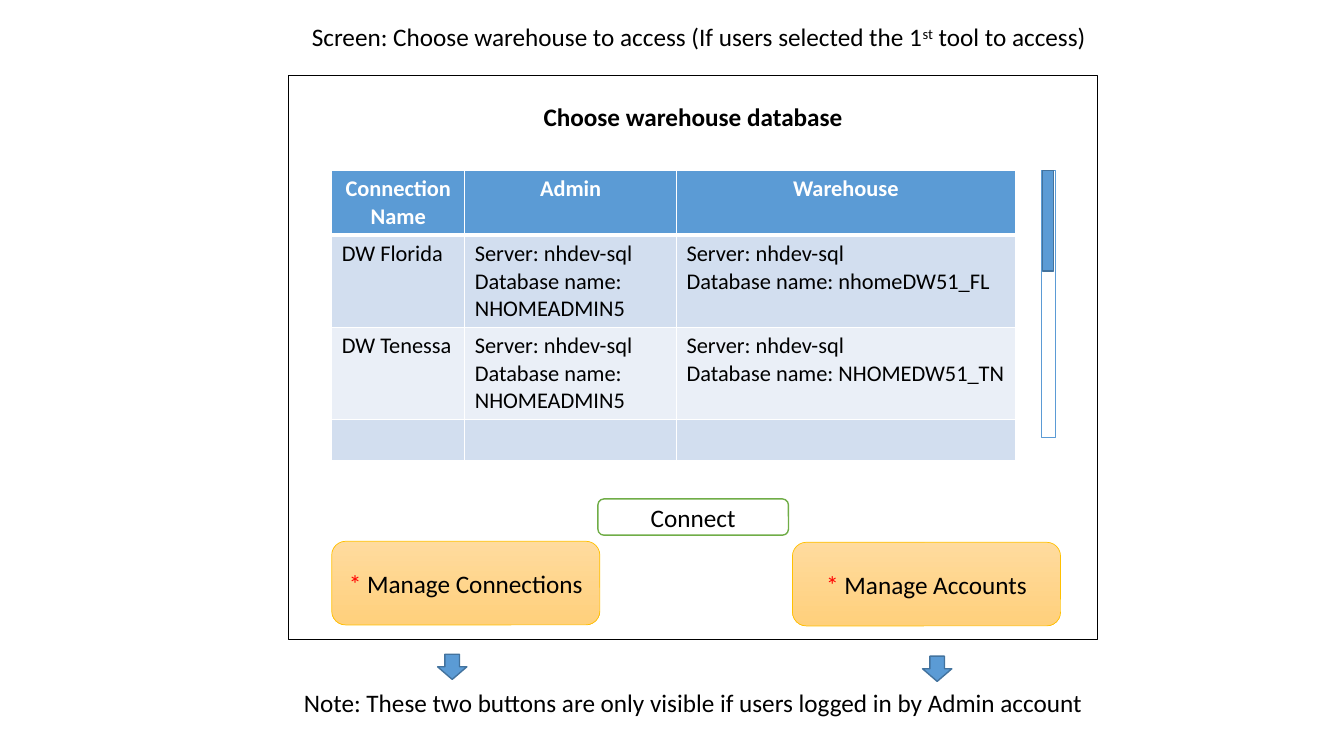
import pptx
import pptx.util
import pptx.dml.color
import pptx.enum.shapes
import pptx.enum.text
import pptx.oxml
import pptx.oxml.ns

# Content: each run is (text, colour name, style)
TITLE = [("Screen: Choose warehouse to access (If users selected the 1", "ink", ""),
         ("st", "ink", "super"), (" tool to access)", "ink", "")]
HEADING = [("Choose warehouse database", "ink", "bold")]
CONNECT = [("Connect", "ink", "")]
NOTE = [("Note: These two buttons are only visible if users logged in by Admin account",
         "ink", "")]
HEADER = ["Connection Name", "Admin", "Warehouse"]
SERVER = "Server: nhdev-sql"
ADMIN = [SERVER, "Database name: NHOMEADMIN5"]
CONNECTIONS = [
    [["DW Florida"], ADMIN, [SERVER, "Database name: nhomeDW51_FL"]],
    [["DW Tenessa"], ADMIN, [SERVER, "Database name: NHOMEDW51_TN"]],
    [[], [], []],
]

THEME = {
    "font": "Calibri", "body": 18, "table": 16,
    "ink": "000000", "paper": "FFFFFF", "required": "FF0000",
    "blue": "5B9BD5", "blue_edge": "43739E", "green": "70AD47",
    "gold_edge": "FFC000", "gold_top": "FFDB9E", "gold_bottom": "FFD07C",
    "bands": ["D2DEEF", "EAEFF7"],
}

# Layout on a grid of one-inch columns and rows
SLIDE_W, SLIDE_H = 13.33, 7.5
PANEL_X, PANEL_Y, PANEL_W, PANEL_H = 2.86, 0.75, 8.03, 5.59
CENTRE = PANEL_X + PANEL_W / 2
TABLE_X, TABLE_Y = 3.29, 1.69
COL_W = [1.32, 2.1, 3.36]
ROW_H = [0.64, 0.9, 0.9, 0.4]
BUTTON_W, BUTTON_H = 2.66, 0.83
ARROW_W, ARROW_H = 0.29, 0.25
# Label, button left and top, arrow left and top
BUTTONS = [("Manage Connections", 3.29, 5.37, 4.34, 6.49),
           ("Manage Accounts", 7.86, 5.38, 9.15, 6.51)]

SHAPE = pptx.enum.shapes.MSO_SHAPE
ALIGN = pptx.enum.text.PP_ALIGN
inch = pptx.util.Inches


def rgb(name):
    return pptx.dml.color.RGBColor.from_string(THEME.get(name, name))


def add_run(p, text, color, size, style=""):
    r = p.add_run()
    r.text = text
    r.font.name = THEME["font"]
    r.font.size = pptx.util.Pt(THEME[size])
    r.font.color.rgb = rgb(color)
    r.font.bold = style == "bold"
    if style == "super":
        r.font._element.set("baseline", "30000")


def add_box(s, kind, x, y, w, h, fill=None, line=None, weight=1, runs=()):
    sp = s.shapes.add_shape(kind, inch(x), inch(y), inch(w), inch(h))
    sp.shadow.inherit = False
    if fill:
        sp.fill.solid()
        sp.fill.fore_color.rgb = rgb(fill)
    else:
        sp.fill.background()
    if line:
        sp.line.color.rgb = rgb(line)
        sp.line.width = pptx.util.Pt(weight)
    else:
        sp.line.fill.background()
    if runs:
        tf = sp.text_frame
        tf.word_wrap = True
        tf.vertical_anchor = pptx.enum.text.MSO_ANCHOR.MIDDLE
        p = tf.paragraphs[0]
        p.alignment = ALIGN.CENTER
        for text, color, style in runs:
            add_run(p, text, color, "body", style)
    return sp


def style_cell(cell, fill, top, bottom):
    cell.fill.solid()
    cell.fill.fore_color.rgb = rgb(fill)
    tc_pr = cell._tc.get_or_add_tcPr()
    edges = [("lnL", 1), ("lnR", 1), ("lnT", top), ("lnB", bottom)]
    for i, (edge, points) in enumerate(edges):
        tc_pr.insert(i, pptx.oxml.parse_xml(
            f'<a:{edge} {pptx.oxml.ns.nsdecls("a")} w="{points * 12700}"><a:solidFill>'
            f'<a:srgbClr val="{THEME["paper"]}"/></a:solidFill></a:{edge}>'))


def add_connections(s):
    rows = [[[name] for name in HEADER]] + CONNECTIONS
    table = s.shapes.add_table(len(rows), len(COL_W), inch(TABLE_X), inch(TABLE_Y),
                               inch(sum(COL_W)), inch(sum(ROW_H))).table
    for column, width in zip(table.columns, COL_W):
        column.width = inch(width)
    for i, row in enumerate(rows):
        table.rows[i].height = inch(ROW_H[i])
        head = i == 0
        fill = "blue" if head else THEME["bands"][(i - 1) % 2]
        for j, lines in enumerate(row):
            cell = table.cell(i, j)
            style_cell(cell, fill, 3 if i == 1 else 1, 3 if head else 1)
            tf = cell.text_frame
            for k, text in enumerate(lines):
                p = tf.add_paragraph() if k else tf.paragraphs[0]
                p.alignment = ALIGN.CENTER if head else ALIGN.LEFT
                add_run(p, text, "paper" if head else "ink", "table",
                        "bold" if head else "")


def main():
    prs = pptx.Presentation()
    prs.slide_width, prs.slide_height = inch(SLIDE_W), inch(SLIDE_H)
    s = prs.slides.add_slide(prs.slide_layouts[6])

    # Window with heading and connect button
    add_box(s, SHAPE.RECTANGLE, PANEL_X, PANEL_Y, PANEL_W, PANEL_H,
            line="ink", weight=0.75)
    add_box(s, SHAPE.ROUNDED_RECTANGLE, CENTRE - 1.63, 0.83, 3.26, 0.66,
            "paper", runs=HEADING)
    add_box(s, SHAPE.ROUNDED_RECTANGLE, CENTRE - 0.945, 4.95, 1.89, 0.36,
            "paper", "green", runs=CONNECT)

    # Scroll bar: track and thumb
    add_box(s, SHAPE.RECTANGLE, 10.33, TABLE_Y, 0.14, 2.65, "paper", "blue")
    add_box(s, SHAPE.RECTANGLE, 10.34, TABLE_Y, 0.11, 1, "blue", "blue_edge")

    add_connections(s)

    # Note below the window
    add_box(s, SHAPE.ROUNDED_RECTANGLE, PANEL_X, 6.58, PANEL_W, 0.77,
            "paper", runs=NOTE)

    # Admin buttons, each with an arrow to the note
    for label, x, y, arrow_x, arrow_y in BUTTONS:
        sp = add_box(s, SHAPE.ROUNDED_RECTANGLE, x, y, BUTTON_W, BUTTON_H,
                     line="gold_edge", weight=0.5,
                     runs=[("*", "required", ""), (" " + label, "ink", "")])
        sp.fill.gradient()
        sp.fill.gradient_angle = 270
        for stop, color in zip(sp.fill.gradient_stops, ["gold_top", "gold_bottom"]):
            stop.color.rgb = rgb(color)
        add_box(s, SHAPE.DOWN_ARROW, arrow_x, arrow_y, ARROW_W, ARROW_H,
                "blue", "blue_edge")

    # Screen title
    add_box(s, SHAPE.ROUNDED_RECTANGLE, PANEL_X, 0.03, 8.14, 0.67,
            "paper", runs=TITLE)

    prs.save("out.pptx")


if __name__ == "__main__":
    main()
